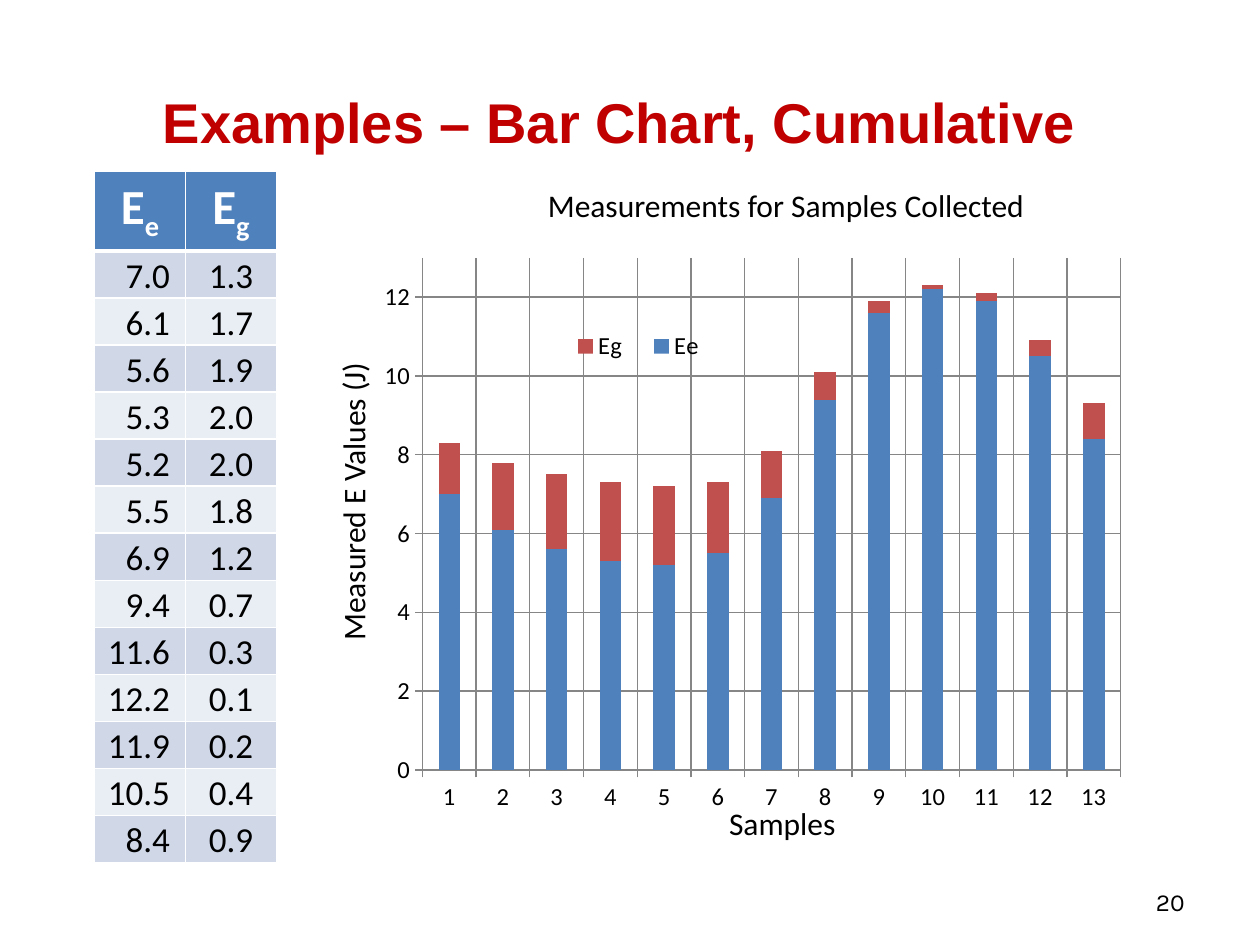
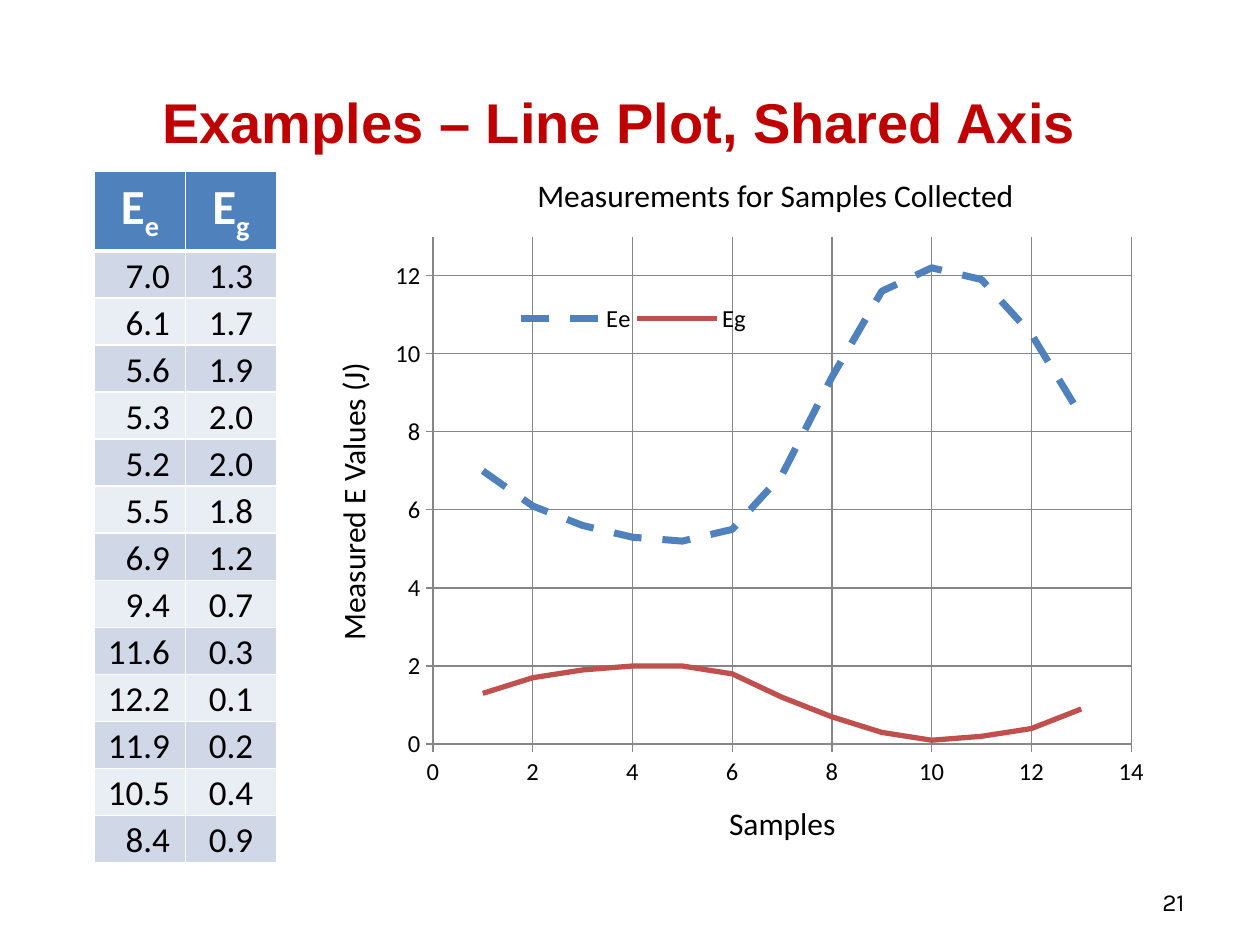
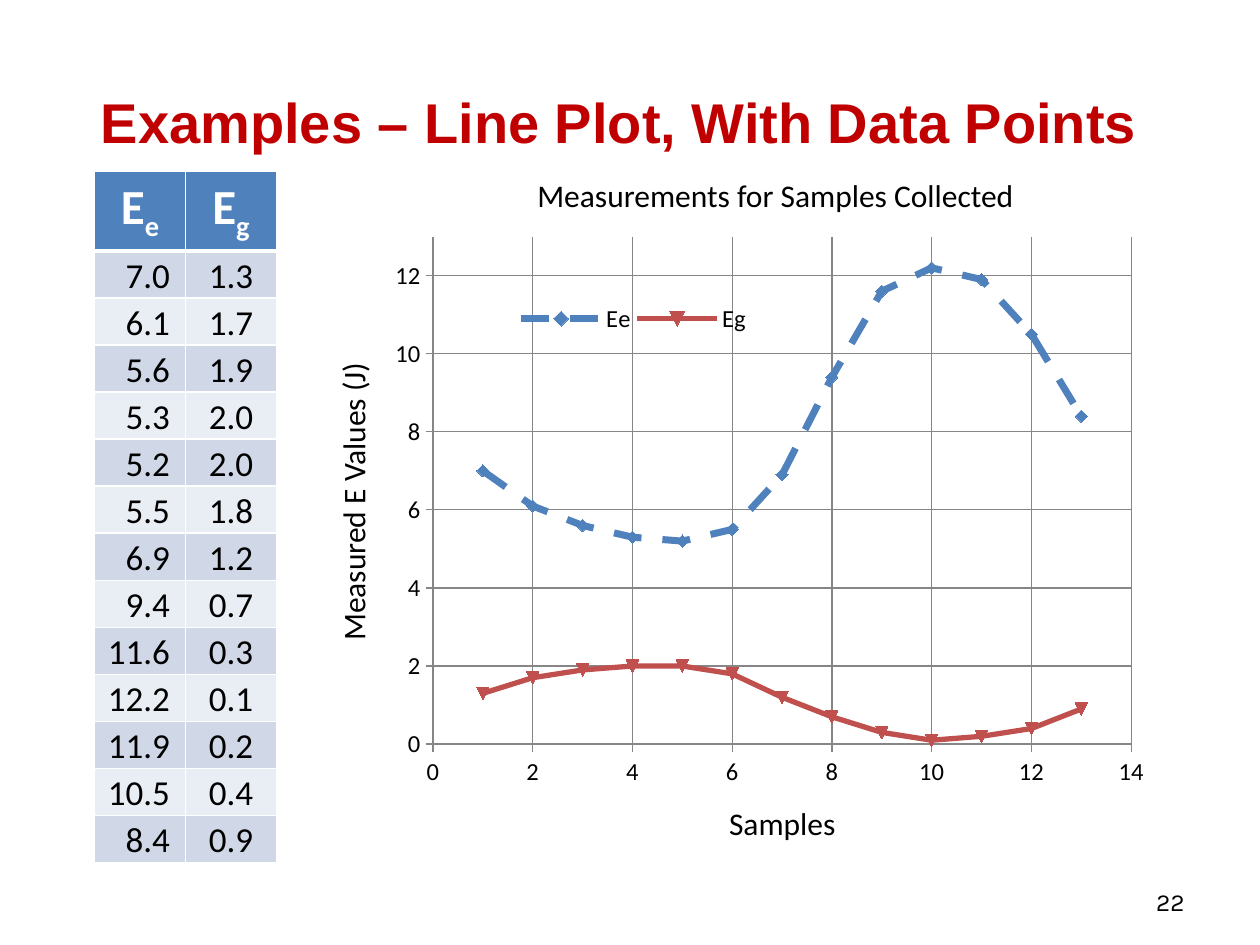
from lxml import etree
from pptx import Presentation
from pptx.chart.data import CategoryChartData, XyChartData
from pptx.dml.color import RGBColor
from pptx.enum.chart import XL_CHART_TYPE, XL_LEGEND_POSITION, XL_MARKER_STYLE, XL_TICK_MARK
from pptx.enum.dml import MSO_LINE
from pptx.enum.text import MSO_ANCHOR, PP_ALIGN
from pptx.oxml import parse_xml
from pptx.oxml.ns import nsdecls, qn
from pptx.util import Pt

LEFT, CENTER, RIGHT = PP_ALIGN.LEFT, PP_ALIGN.CENTER, PP_ALIGN.RIGHT
TOP, MIDDLE, BOTTOM = MSO_ANCHOR.TOP, MSO_ANCHOR.MIDDLE, MSO_ANCHOR.BOTTOM
STACKED = XL_CHART_TYPE.COLUMN_STACKED
SMOOTH = XL_CHART_TYPE.XY_SCATTER_SMOOTH
PLAIN_SMOOTH = XL_CHART_TYPE.XY_SCATTER_SMOOTH_NO_MARKERS
OUTSIDE, LEGEND_RIGHT = XL_TICK_MARK.OUTSIDE, XL_LEGEND_POSITION.RIGHT
AUTO_MARKER, DASH = XL_MARKER_STYLE.AUTOMATIC, MSO_LINE.DASH

# Content
COLORS = {"title": "C00000", "text": "000000", "white": "FFFFFF", "header": "4F81BD",
          "odd": "D0D8E8", "even": "E9EDF4", "grid": "868686",
          "Ee": "4F81BD", "Eg": "C0504D"}
ENERGY = {
    "Ee": [7.0, 6.1, 5.6, 5.3, 5.2, 5.5, 6.9, 9.4, 11.6, 12.2, 11.9, 10.5, 8.4],
    "Eg": [1.3, 1.7, 1.9, 2.0, 2.0, 1.8, 1.2, 0.7, 0.3, 0.1, 0.2, 0.4, 0.9],
}
SLIDES = [
    ("Examples – Bar Chart, Cumulative", STACKED),
    ("Examples – Line Plot, Shared Axis", PLAIN_SMOOTH),
    ("Examples – Line Plot, With Data Points", SMOOTH),
]
FIRST_NUMBER = 20

# Places in points: left, top, width, height
TITLE_BOX = (48, 24, 612, 90)
NUMBER_BOX = (516, 500.5, 168, 29)
X_LABEL_BOX = (409.5, 456, 76.5, 29)
Y_LABEL_BOX = (114, 271, 175.5, 29)
BAR_LAYOUT = {"caption": (306, 103, 288, 29), "chart": (216, 138, 438, 333),
              "legend": (0.23, 0.14, 0.22, 0.08)}
LINE_LAYOUT = {"caption": (300, 97, 288, 29), "chart": (222, 126, 438, 330),
               "legend": (0.165, 0.13, 0.31, 0.08)}
PLOT_AREA = (0.058, 0.028, 0.911, 0.879)  # shares of the chart frame
TABLE_LEFT, TABLE_TOP, COL_W, HEADER_H, ROW_H = 54, 98, 52, 40, 26.9


def rgb(name):
    return RGBColor.from_string(COLORS[name])


def add_run(p, text, size, color="text", font="Calibri", bold=False):
    r = p.add_run()
    r.text = text
    r.font.size, r.font.name, r.font.bold = Pt(size), font, bold
    r.font.color.rgb = rgb(color)
    return r


def add_text(s, box, text, size=18, align=LEFT, anchor=TOP, wrap=True, rotation=0, **style):
    sp = s.shapes.add_textbox(*map(Pt, box))
    sp.rotation = rotation
    tf = sp.text_frame
    tf.word_wrap, tf.vertical_anchor = wrap, anchor
    tf.paragraphs[0].alignment = align
    add_run(tf.paragraphs[0], text, size, **style)


# Table
def style_cell(cell, fill, bottom=1):
    tcPr = cell._tc.get_or_add_tcPr()
    for side, width in (("L", 1), ("R", 1), ("T", 1), ("B", bottom)):
        tcPr.append(parse_xml(
            f'<a:ln{side} {nsdecls("a")} w="{Pt(width)}"><a:solidFill>'
            f'<a:srgbClr val="{COLORS["white"]}"/></a:solidFill></a:ln{side}>'))
    cell.fill.solid()
    cell.fill.fore_color.rgb = rgb(fill)


def add_energy_table(s):
    n = len(ENERGY["Ee"])
    table = s.shapes.add_table(n + 1, 2, Pt(TABLE_LEFT), Pt(TABLE_TOP), Pt(2 * COL_W),
                               Pt(HEADER_H + n * ROW_H)).table
    for i, row in enumerate(table.rows):
        row.height = Pt(ROW_H if i else HEADER_H)
    for c, (name, values) in enumerate(ENERGY.items()):
        table.columns[c].width = Pt(COL_W)
        cell = table.cell(0, c)
        style_cell(cell, "header", bottom=3)
        p = cell.text_frame.paragraphs[0]
        p.alignment = CENTER
        add_run(p, name[0], 28, "white", bold=True)
        sub = add_run(p, name[1], 28, "white", bold=True)
        sub.font._element.set("baseline", "-25000")
        for i, value in enumerate(values, 1):
            cell = table.cell(i, c)
            style_cell(cell, "odd" if i % 2 else "even")
            cell.vertical_anchor = BOTTOM
            cell.margin_left = cell.margin_top = Pt(0.7)
            cell.margin_right, cell.margin_bottom = Pt(0.7 if c else 8.9), 0
            p = cell.text_frame.paragraphs[0]
            p.alignment = CENTER if c else RIGHT  # line up the decimal points
            add_run(p, f"{value:.1f}", 20)


# Chart
def set_layout(parent, box, inner=False):
    """Place a plot area or legend by hand, in shares of the chart frame."""
    for old in parent.findall(qn("c:layout")):
        parent.remove(old)
    layout = etree.Element(qn("c:layout"))
    manual = etree.SubElement(layout, qn("c:manualLayout"))
    parts = [("layoutTarget", "inner")] if inner else []
    parts += [("xMode", "edge"), ("yMode", "edge"), *zip("xywh", box)]
    for tag, value in parts:
        etree.SubElement(manual, qn(f"c:{tag}")).set("val", str(value))
    before = parent.find(qn("c:legendPos"))
    parent.insert(0 if before is None else parent.index(before) + 1, layout)


def make_data(kind):
    samples = range(1, len(ENERGY["Ee"]) + 1)
    if kind == STACKED:
        data = CategoryChartData()
        data.categories = [str(x) for x in samples]
        for name, values in ENERGY.items():
            data.add_series(name, values)
        return data
    data = XyChartData()
    for name, values in ENERGY.items():
        series = data.add_series(name)
        for x, y in zip(samples, values):
            series.add_data_point(x, y)
    return data


def style_axis(axis):
    axis.has_major_gridlines = True
    axis.major_tick_mark = OUTSIDE
    for line in (axis.format.line, axis.major_gridlines.format.line):
        line.width, line.color.rgb = Pt(0.75), rgb("grid")


def style_series(series, kind):
    color = rgb(series.name)
    if kind == STACKED:
        series.format.fill.solid()
        series.format.fill.fore_color.rgb = color
        return
    series.smooth = True
    line = series.format.line
    line.color.rgb = color
    line.width = Pt(3)
    if series.name == "Ee":
        line.width, line.dash_style = Pt(4), DASH
    if kind == SMOOTH:
        marker = series.marker
        marker.style, marker.size = AUTO_MARKER, 7
        marker.format.fill.solid()
        marker.format.fill.fore_color.rgb = color
        marker.format.line.color.rgb = color


def add_energy_chart(s, kind, layout):
    chart = s.shapes.add_chart(kind, *map(Pt, layout["chart"]), make_data(kind)).chart
    chart.has_title = False
    chart.font.size, chart.font.name = Pt(14), "Calibri"
    chart.font.color.rgb = rgb("text")
    x_axis, y_axis = chart.category_axis, chart.value_axis
    style_axis(x_axis)
    style_axis(y_axis)
    y_axis.minimum_scale, y_axis.maximum_scale, y_axis.major_unit = 0, 13, 2
    y_axis.tick_labels.number_format = "0"
    y_axis.tick_labels.number_format_is_linked = False
    plot = chart.plots[0]
    plot.vary_by_categories = False
    if kind == STACKED:
        plot.gap_width, plot.overlap = 150, 100
    else:
        x_axis.minimum_scale, x_axis.maximum_scale, x_axis.major_unit = 0, 14, 2
    for series in plot.series:
        style_series(series, kind)
    chart.has_legend = True
    chart.legend.position = LEGEND_RIGHT
    chart.legend.include_in_layout = False
    set_layout(chart.legend._element, layout["legend"])
    set_layout(chart._chartSpace.chart.plotArea, PLOT_AREA, inner=True)


# Build the slides
prs = Presentation()
prs.slide_width, prs.slide_height = Pt(720), Pt(540)
for number, (title, kind) in enumerate(SLIDES, FIRST_NUMBER):
    s = prs.slides.add_slide(prs.slide_layouts[6])
    layout = BAR_LAYOUT if kind == STACKED else LINE_LAYOUT
    add_text(s, NUMBER_BOX, str(number), 14, RIGHT, MIDDLE, font="Karla")
    add_text(s, TITLE_BOX, title, 32, CENTER, MIDDLE, color="title", font="Arial", bold=True)
    add_energy_table(s)
    add_text(s, X_LABEL_BOX, "Samples", wrap=False)
    add_text(s, Y_LABEL_BOX, "Measured E Values (J)", wrap=False, rotation=270)
    add_text(s, layout["caption"], "Measurements for Samples Collected")
    add_energy_chart(s, kind, layout)
prs.save("out.pptx")
